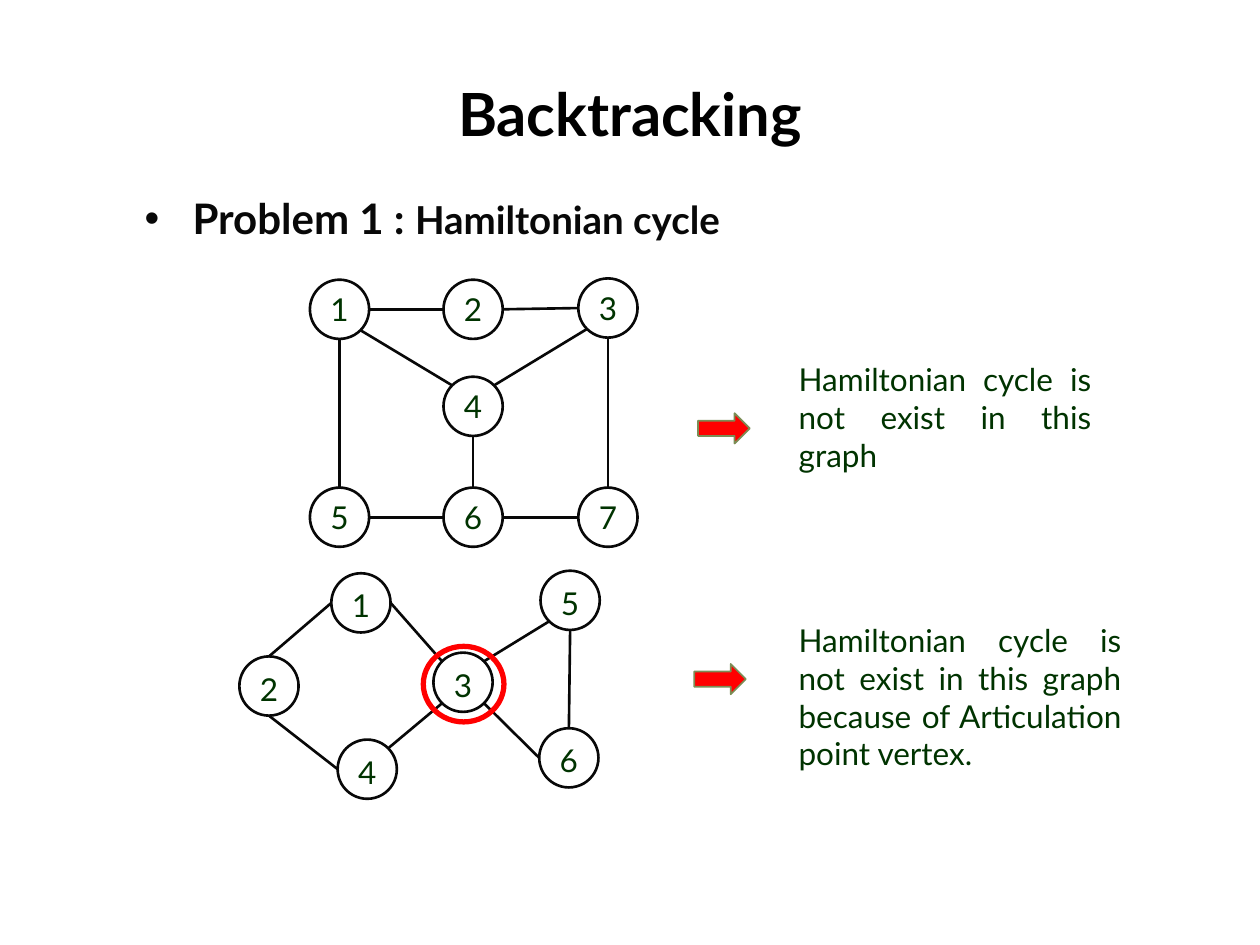
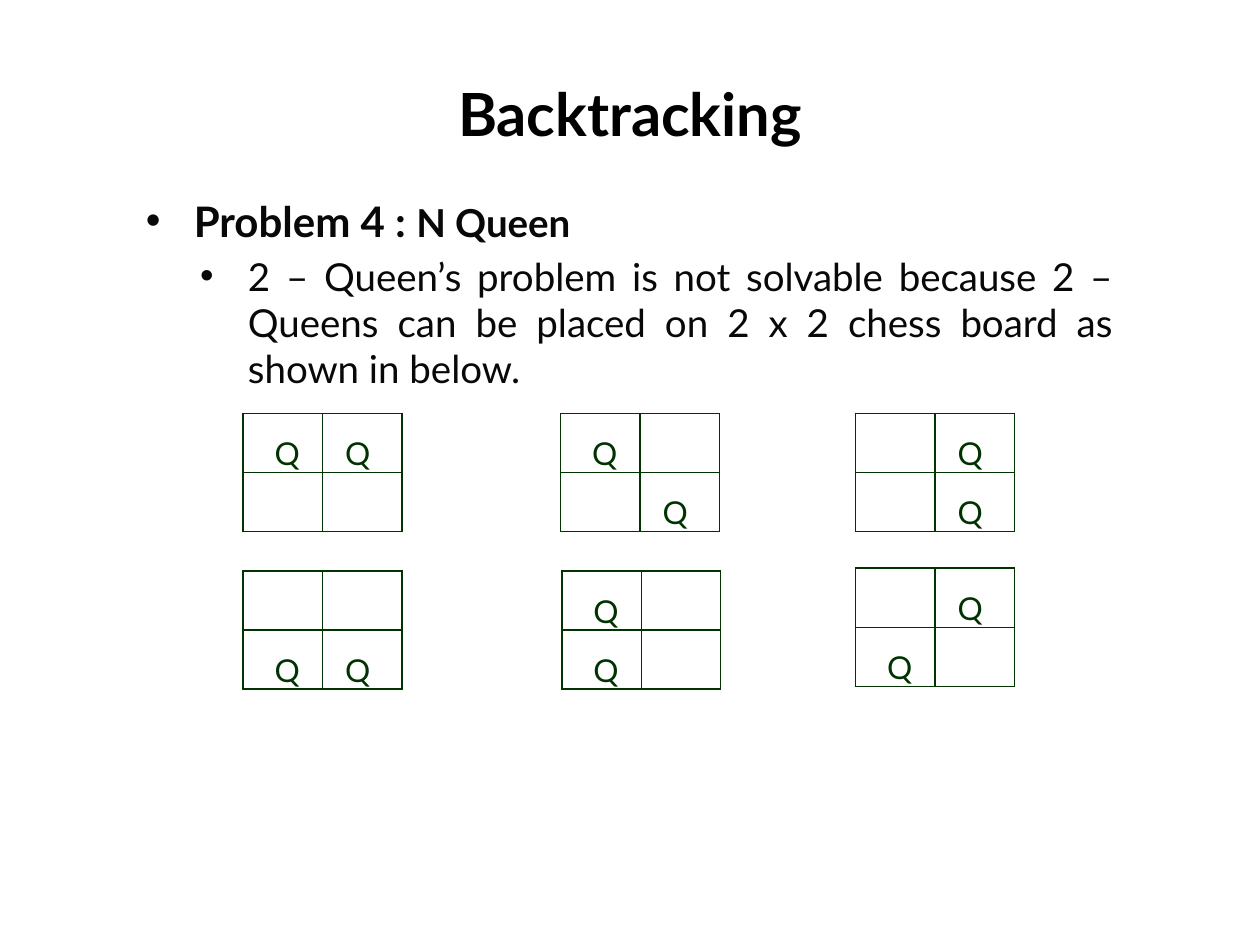
"""Build two slides on backtracking: Hamiltonian cycles and N queens."""
from dataclasses import dataclass
from math import cos, radians, sin

from lxml.etree import SubElement
from pptx import Presentation
from pptx.dml.color import RGBColor
from pptx.enum.shapes import MSO_CONNECTOR, MSO_SHAPE
from pptx.enum.text import MSO_ANCHOR, PP_ALIGN
from pptx.oxml.ns import qn
from pptx.util import Emu, Pt


@dataclass(frozen=True)
class Theme:
    """Hold the colours, type sizes and line widths."""
    font: str = "Lato"
    black: str = "000000"
    ink: str = "080808"
    green: str = "003300"
    red: str = "FF0000"
    olive: str = "7B8D55"
    title: int = 34
    head: int = 24
    body: int = 22
    note: int = 18
    thin: float = 1
    edge: float = 1.5
    ring: float = 3


THEME = Theme()
SCALE = 9144
NODE = 47
CELL = (63, 47)
ANGLES = {"E": 0, "SE": 45, "S": 90, "SW": 135, "W": 180, "NW": 225, "N": 270, "NE": 315}

SQUARE = {
    "1": (246, 222), "2": (352, 222), "3": (459, 221), "4": (352, 299),
    "5": (246, 387), "6": (352, 387), "7": (459, 387),
}
SQUARE_EDGES = [
    "1 E 2 W", "2 E 3 W", "1 SE 4 NW", "3 SW 4 NE", "1 S 5 N",
    "4 S 6 N", "3 S 7 N", "5 E 6 W", "6 E 7 W",
]
BOWTIE = {
    "1": (263, 455), "2": (190, 521), "3": (344, 518),
    "4": (268, 587), "5": (429, 453), "6": (428, 578),
}
BOWTIE_EDGES = [
    "2 N 1 W", "2 S 4 W", "4 NE 3 SW", "1 E 3 NW",
    "3 NE 5 SW", "3 SE 6 W", "5 S 6 N",
]
BOARDS = [
    (193, 328, ["QQ", "--"]), (445, 328, ["Q-", "-Q"]), (679, 328, ["-Q", "-Q"]),
    (193, 453, ["--", "QQ"]), (446, 453, ["Q-", "Q-"]), (679, 451, ["-Q", "Q-"]),
]


def px(*sizes):
    """Turn px lengths into EMU."""
    return [Emu(round(size * SCALE)) for size in sizes]


def style(run, size, tint, bold=False):
    """Format one run."""
    font = run.font
    font.name, font.size, font.bold = THEME.font, Pt(size), bold
    font.color.rgb = RGBColor.from_string(tint)


def add_text(slide, box, text, size, tint, align, bold=False):
    """Add a wrapped text box of one run and return its frame."""
    frame = slide.shapes.add_textbox(*px(*box)).text_frame
    frame.word_wrap = True
    frame.text = text
    para = frame.paragraphs[0]
    para.alignment = align
    style(para.runs[0], size, tint, bold)
    return frame


def add_title(slide):
    """Add the shared slide title."""
    frame = add_text(slide, (50, 50, 900, 79), "Backtracking", THEME.title,
                     THEME.black, PP_ALIGN.CENTER, True)
    frame.vertical_anchor = MSO_ANCHOR.MIDDLE


def set_bullet(para, left):
    """Give a paragraph a hanging round bullet."""
    props = para._p.get_or_add_pPr()
    margin, hang = px(left, -38)
    props.set("marL", str(margin))
    props.set("indent", str(hang))
    SubElement(props, qn("a:buFont"), typeface="Arial")
    SubElement(props, qn("a:buChar"), char="•")


def add_body(slide, box, label, topic, detail=None):
    """Add the problem heading and an optional second-level point."""
    frame = add_text(slide, box, label, THEME.head, THEME.ink, PP_ALIGN.JUSTIFY, True)
    para = frame.paragraphs[0]
    set_bullet(para, 38)
    run = para.add_run()
    run.text = topic
    style(run, THEME.body, THEME.ink, True)
    if detail:
        para = frame.add_paragraph()
        para.text = detail
        para.level = 1
        para.alignment = PP_ALIGN.JUSTIFY
        para.space_before = Pt(4)
        set_bullet(para, 81)
        style(para.runs[0], THEME.body, THEME.ink)


def add_note(slide, box, text):
    """Add a green remark beside a graph."""
    add_text(slide, box, text, THEME.note, THEME.green, PP_ALIGN.JUSTIFY)


def add_form(slide, kind, box, tint, width, fill=None):
    """Add an outlined preset shape."""
    shape = slide.shapes.add_shape(kind, *px(*box))
    shape.shadow.inherit = False
    shape.line.color.rgb = RGBColor.from_string(tint)
    shape.line.width = Pt(width)
    if fill:
        shape.fill.solid()
        shape.fill.fore_color.rgb = RGBColor.from_string(fill)
    else:
        shape.fill.background()
    return shape


def add_arrow(slide, left, top):
    """Add a red block arrow."""
    add_form(slide, MSO_SHAPE.RIGHT_ARROW, (left, top, 41, 24),
             THEME.olive, THEME.thin, THEME.red)


def add_node(slide, label, spot, drop):
    """Add a numbered circle, its label lowered by drop px."""
    shape = add_form(slide, MSO_SHAPE.OVAL, (*spot, NODE, NODE), THEME.ink, THEME.edge)
    frame = shape.text_frame
    frame.margin_left = frame.margin_right = frame.margin_bottom = 0
    frame.margin_top = px(2 * drop)[0]
    frame.word_wrap = False
    frame.vertical_anchor = MSO_ANCHOR.MIDDLE
    frame.text = label
    para = frame.paragraphs[0]
    para.alignment = PP_ALIGN.CENTER
    style(para.runs[0], THEME.note, THEME.green)


def rim(spot, side):
    """Find the point on a circle that faces a compass side."""
    turn, half = radians(ANGLES[side]), NODE / 2
    return spot[0] + half + half * cos(turn), spot[1] + half + half * sin(turn)


def add_edge(slide, start, end):
    """Add a straight line between two points."""
    line = slide.shapes.add_connector(MSO_CONNECTOR.STRAIGHT, *px(*start, *end))
    line.line.color.rgb = RGBColor.from_string(THEME.ink)
    line.line.width = Pt(THEME.edge)
    SubElement(line._element.spPr, qn("a:effectLst"))


def add_graph(slide, nodes, edges, drop=0):
    """Add the circles and lines of a graph."""
    for label, spot in nodes.items():
        add_node(slide, label, spot, drop)
    for edge in edges:
        tail, out, head, into = edge.split()
        add_edge(slide, rim(nodes[tail], out), rim(nodes[head], into))


def set_frame(cell):
    """Give a cell thin green borders and no fill."""
    props = cell._tc.get_or_add_tcPr()
    for side in ("lnL", "lnR", "lnT", "lnB"):
        line = SubElement(props, qn(f"a:{side}"), w=str(Pt(THEME.thin)))
        fill = SubElement(line, qn("a:solidFill"))
        SubElement(fill, qn("a:srgbClr"), val=THEME.green)
    cell.fill.background()


def set_queen(cell, col):
    """Put a queen in a cell, set slightly toward the board's middle."""
    cell.margin_left, cell.margin_right = px(*((8, 1) if col == 0 else (1, 8)))
    cell.margin_top, cell.margin_bottom = px(1, 0)
    cell.vertical_anchor = MSO_ANCHOR.BOTTOM
    cell.text = "Q"
    para = cell.text_frame.paragraphs[0]
    para.alignment = PP_ALIGN.CENTER
    style(para.runs[0], THEME.note, THEME.green)


def add_board(slide, left, top, rows):
    """Add a chess board as a table, with Q marking each queen."""
    count = len(rows)
    wide, high = CELL
    table = slide.shapes.add_table(
        count, count, *px(left, top, wide * count, high * count)).table
    table.first_row = table.horz_banding = False
    for row, marks in enumerate(rows):
        for col, mark in enumerate(marks):
            cell = table.cell(row, col)
            set_frame(cell)
            if mark == "Q":
                set_queen(cell, col)


def draw_cycle(slide):
    """Fill the Hamiltonian cycle slide."""
    add_title(slide)
    add_body(slide, (105, 148, 787, 215), "Problem 1 : ", "Hamiltonian cycle")
    add_graph(slide, SQUARE, SQUARE_EDGES)
    add_arrow(slide, 554, 328)
    add_note(slide, (624, 281, 252, 101), "Hamiltonian cycle is not exist in this graph")
    add_graph(slide, BOWTIE, BOWTIE_EDGES, drop=2)
    add_form(slide, MSO_SHAPE.OVAL, (336, 513, 64, 60), THEME.red, THEME.ring)
    add_arrow(slide, 551, 527)
    add_note(slide, (624, 488, 276, 131), "Hamiltonian cycle is not exist in this graph "
             "because of Articulation point vertex.")


def draw_queens(slide):
    """Fill the N queens slide."""
    add_title(slide)
    add_body(slide, (106, 150, 787, 450), "Problem 4 : ", "N Queen",
             "2 – Queen’s problem is not solvable because 2 – Queens can be "
             "placed on 2 x 2 chess board as shown in below.")
    for board in BOARDS:
        add_board(slide, *board)


def main():
    """Build and save the deck."""
    deck = Presentation()
    deck.slide_width, deck.slide_height = px(1000, 750)
    for draw in (draw_cycle, draw_queens):
        draw(deck.slides.add_slide(deck.slide_layouts[6]))
    deck.save("out.pptx")


if __name__ == "__main__":
    main()
